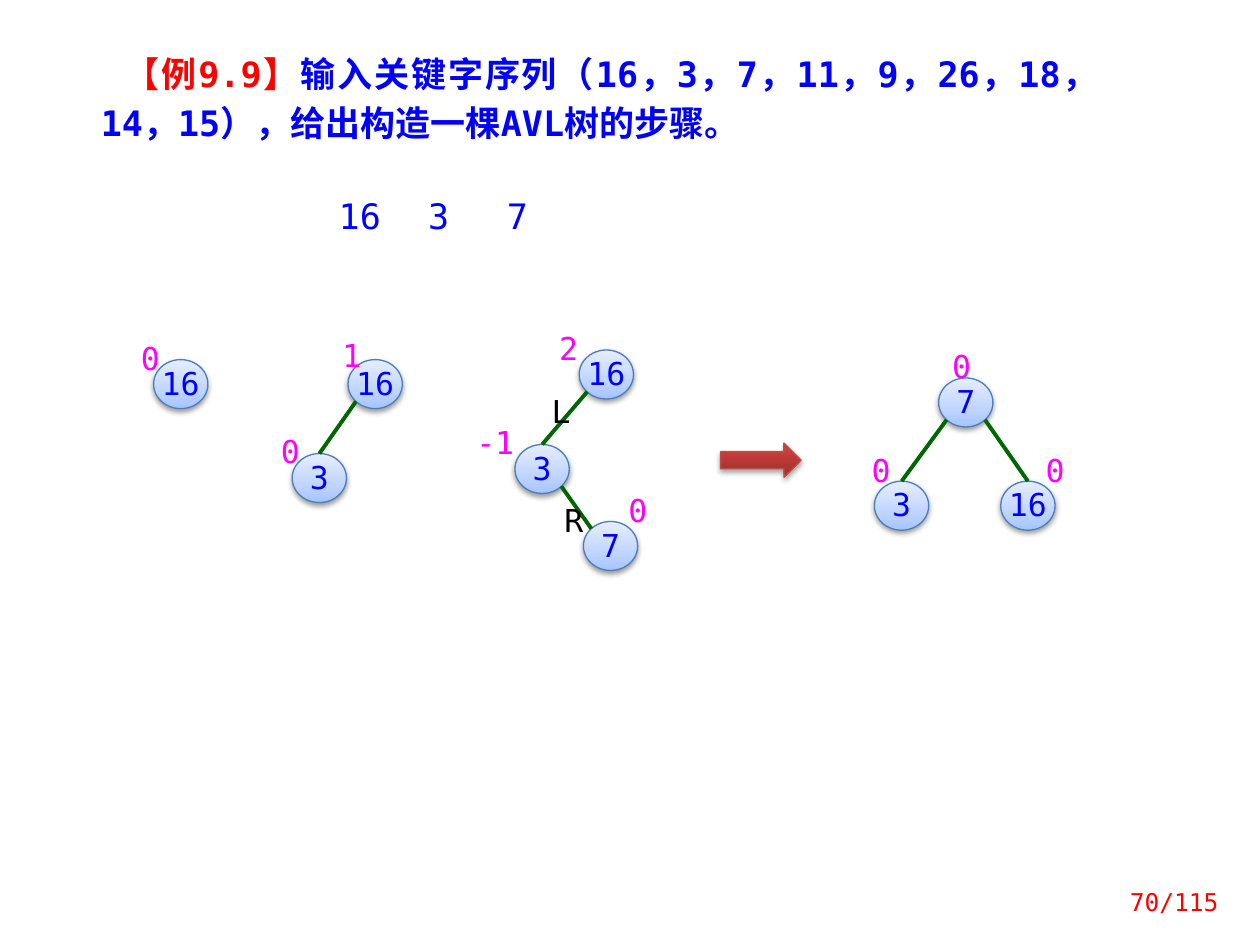
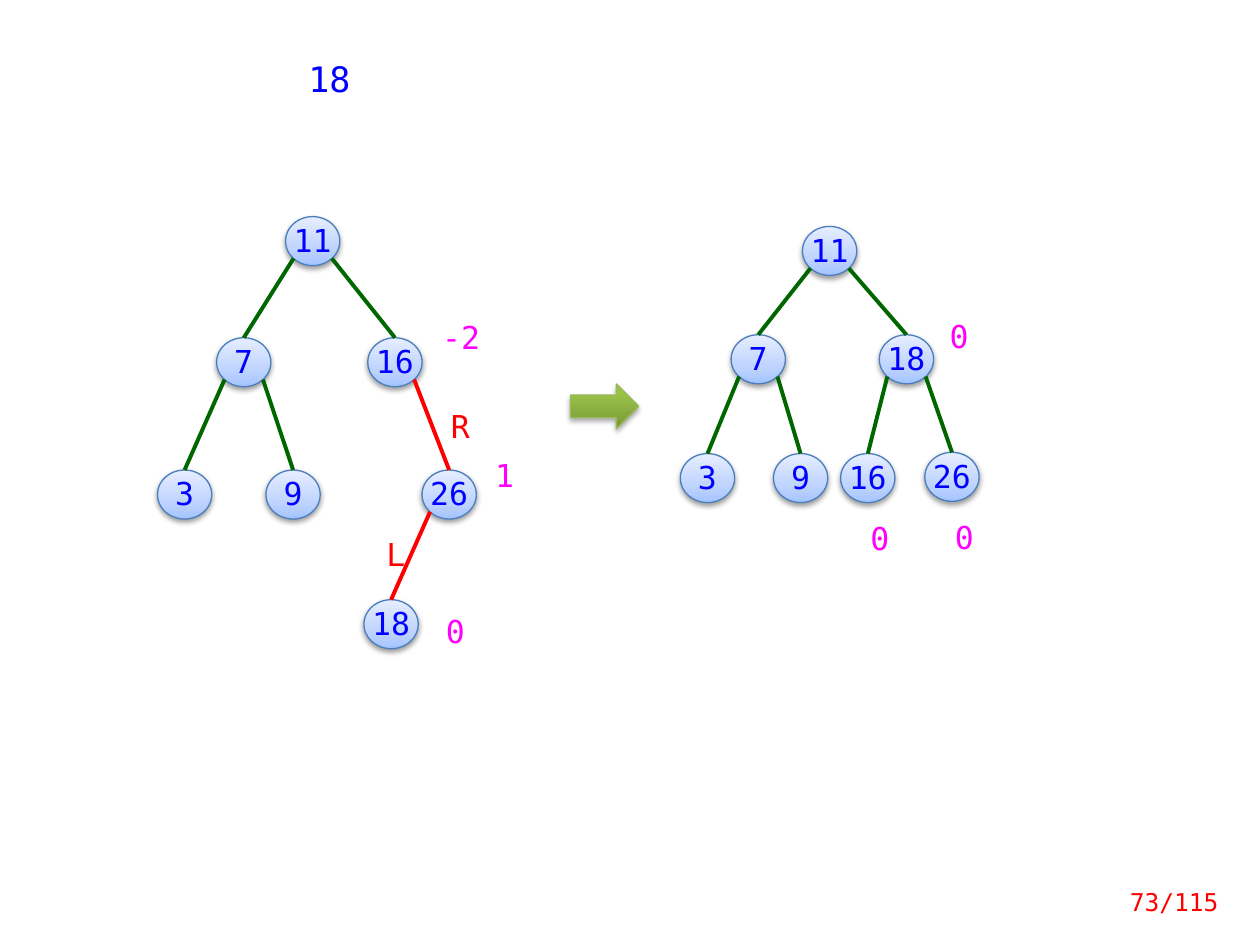
from dataclasses import dataclass
from math import cos, radians, sin

from lxml import etree
from pptx import Presentation
from pptx.dml.color import RGBColor
from pptx.enum.shapes import MSO_CONNECTOR, MSO_SHAPE
from pptx.enum.text import MSO_ANCHOR, MSO_AUTO_SIZE, PP_ALIGN
from pptx.oxml.ns import qn
from pptx.util import Pt

CENTER, RIGHT, JUSTIFY = PP_ALIGN.CENTER, PP_ALIGN.RIGHT, PP_ALIGN.JUSTIFY
TOP, MIDDLE = MSO_ANCHOR.TOP, MSO_ANCHOR.MIDDLE
FIXED_SIZE = MSO_AUTO_SIZE.NONE
OVAL, RIGHT_ARROW = MSO_SHAPE.OVAL, MSO_SHAPE.RIGHT_ARROW
STRAIGHT = MSO_CONNECTOR.STRAIGHT
TITLE_ONLY, BLANK = 5, 6


@dataclass(frozen=True)
class Theme:
    font: str = "DejaVu Sans Mono"
    blue: str = "0000FF"
    red: str = "FF0000"
    magenta: str = "FF00FF"
    black: str = "000000"
    green: str = "006600"
    node_line: str = "4B7EBC"
    node_fill: tuple = ((0, "A4C4FF"), (35, "BFD4FF"), (100, "E6EEFF"))
    red_line: str = "BF4C48"
    red_fill: tuple = ((0, "9C2F2D"), (80, "CB3E3A"), (100, "CE3B37"))
    green_line: str = "98B955"
    green_fill: tuple = ((0, "779737"), (80, "9BC348"), (100, "9DC746"))
    title_size: int = 20
    node_size: int = 18
    footer_size: int = 14
    node_width: int = 31
    node_height: int = 28
    edge_width: float = 2.25
    outline_width: float = 0.75


THEME = Theme()
CORNERS = {"top": 270, "top left": 225, "bottom left": 135, "bottom right": 45}


def write(box, spans, *, size, align=CENTER, anchor=TOP, spacing=None,
          indent=0, bold=False, wrap=True):
    frame = box.text_frame
    frame.word_wrap = wrap
    frame.auto_size = FIXED_SIZE
    frame.vertical_anchor = anchor
    para = frame.paragraphs[0]
    para.alignment = align
    para.space_before = Pt(0)
    if spacing:
        para.line_spacing = spacing
    if indent:
        para._p.get_or_add_pPr().set("indent", str(Pt(indent)))
    for text, color in spans:
        span = para.add_run()
        span.text = text
        span.font.name = THEME.font
        span.font.size = Pt(size)
        span.font.bold = bold
        span.font.color.rgb = RGBColor.from_string(color)
        east_asian = etree.SubElement(span._r.get_or_add_rPr(), qn("a:ea"))
        east_asian.set("typeface", THEME.font)


def add_color(parent, color):
    node = etree.SubElement(parent, qn("a:srgbClr"))
    node.set("val", color)
    return node


class Painter:
    def __init__(self, deck, theme):
        self.deck = deck
        self.theme = theme
        self.page = None

    def new_page(self, layout, footer):
        self.page = self.deck.slides.add_slide(self.deck.slide_layouts[layout])
        box = self.text_box(621.5, 500.5, 82, 29)
        write(box, [(footer, self.theme.red)], size=self.theme.footer_size,
              align=RIGHT, anchor=MIDDLE)

    def text_box(self, left, top, width, height):
        return self.page.shapes.add_textbox(
            Pt(left), Pt(top), Pt(width), Pt(height))

    def title(self, spans):
        box = self.page.shapes.title
        box.left, box.top, box.width, box.height = map(Pt, (50.4, 22.3, 584, 64))
        write(box, spans, size=self.theme.title_size, align=JUSTIFY,
              spacing=Pt(28), indent=13.5, bold=True)

    def key(self, text, left, top):
        box = self.text_box(left, top, 39.6, 26.6)
        write(box, [(text, self.theme.blue)], size=self.theme.title_size,
              spacing=0.8)

    def label(self, text, left, top, width=19, color=THEME.magenta):
        box = self.text_box(left, top, width, 27.4)
        write(box, [(text, color)], size=self.theme.node_size, spacing=Pt(20))

    def glossy(self, kind, left, top, width, height, stops, line, shadow):
        shape = self.page.shapes.add_shape(
            kind, Pt(left), Pt(top), Pt(width), Pt(height))
        shape.fill.gradient()
        properties = shape.element.spPr
        gradient = properties.find(qn("a:gradFill"))
        stop_list = gradient.find(qn("a:gsLst"))
        for stop in list(stop_list):
            stop_list.remove(stop)
        for position, color in stops:
            stop = etree.SubElement(stop_list, qn("a:gs"))
            stop.set("pos", str(position * 1000))
            add_color(stop, color)
        direction = gradient.find(qn("a:lin"))
        direction.set("ang", str(270 * 60000))
        direction.set("scaled", "0")
        shape.line.color.rgb = RGBColor.from_string(line)
        shape.line.width = Pt(self.theme.outline_width)
        shape.shadow.inherit = False
        opacity, distance = shadow
        cast = etree.SubElement(
            properties.find(qn("a:effectLst")), qn("a:outerShdw"),
            blurRad=str(Pt(3.1)), dist=str(Pt(distance)),
            dir=str(90 * 60000), rotWithShape="0")
        alpha = etree.SubElement(add_color(cast, self.theme.black), qn("a:alpha"))
        alpha.set("val", str(opacity * 1000))
        return shape

    def node(self, text, left, top):
        shape = self.glossy(
            OVAL, left, top, self.theme.node_width, self.theme.node_height,
            self.theme.node_fill, self.theme.node_line, (38, 1.6))
        write(shape, [(text, self.theme.blue)], size=self.theme.node_size,
              anchor=MIDDLE, spacing=Pt(20), wrap=False)

    def arrow(self, left, top, width, height, stops, line):
        self.glossy(RIGHT_ARROW, left, top, width, height, stops, line, (35, 1.8))

    def rim(self, position, corner):
        left, top = position
        angle = radians(CORNERS[corner])
        return (Pt(left + self.theme.node_width / 2 * (1 + cos(angle))),
                Pt(top + self.theme.node_height / 2 * (1 + sin(angle))))

    def edge(self, parent, child, color, end="top"):
        side = "bottom left" if child[0] < parent[0] else "bottom right"
        line = self.page.shapes.add_connector(
            STRAIGHT, *self.rim(parent, side), *self.rim(child, end))
        line.line.color.rgb = RGBColor.from_string(color)
        line.line.width = Pt(self.theme.edge_width)
        etree.SubElement(line.element.spPr, qn("a:effectLst"))

    def tree(self, nodes, edges=(), unbalanced=(), ends=None):
        for text, position in nodes.items():
            self.node(text, *position)
        for pair in edges:
            parent, child = pair
            color = self.theme.red if pair in unbalanced else self.theme.green
            self.edge(nodes[parent], nodes[child], color,
                      (ends or {}).get(pair, "top"))


def first_keys_page(painter):
    theme = painter.theme
    painter.new_page(TITLE_ONLY, "70/115")
    painter.title([
        ("【例9.9】", theme.red),
        ("输入关键字序列（16，3，7，11，9，26，18，14，15），"
         "给出构造一棵AVL树的步骤。", theme.blue)])
    for index, text in enumerate(("16", "3", "7")):
        painter.key(text, 185.8 + 45 * index, 112.3)

    painter.tree({"16": (87.8, 205.5)})
    painter.tree({"16": (198.9, 205.5), "3": (167, 259.2)}, [("16", "3")])
    painter.tree(
        {"16": (331, 200), "3": (294.3, 254), "7": (333.4, 298)},
        [("16", "3"), ("3", "7")], ends={("3", "7"): "top left"})
    painter.tree(
        {"7": (536.4, 216), "3": (499.7, 275), "16": (571.9, 275)},
        [("7", "3"), ("7", "16")])

    for text, left, top in (
            ("0", 73.4, 191.5), ("1", 188.6, 190), ("0", 153.4, 244.8),
            ("2", 312.5, 185.8), ("0", 352, 278.6),
            ("0", 537, 196.6), ("0", 590.4, 255.6)):
        painter.label(text, left, top)
    painter.label("-1", 262, 239.8, width=42)
    painter.label("0", 491, 255.6, width=23)
    painter.label("L", 308.2, 221.8, color=theme.black)
    painter.label("R", 315.4, 284.4, color=theme.black)
    painter.arrow(411.8, 253.2, 46, 19.6, theme.red_fill, theme.red_line)


def insert_18_page(painter):
    theme = painter.theme
    painter.new_page(BLANK, "73/115")
    painter.key("18", 168.5, 33.8)
    shared = [("11", "7"), ("7", "3"), ("7", "9")]
    rotated = [("16", "26"), ("26", "18")]
    painter.tree(
        {"11": (163.2, 123.8), "7": (123.8, 193), "16": (210.2, 193),
         "3": (90, 268.6), "9": (152, 268.6), "26": (241.2, 268.6),
         "18": (208, 342.7)},
        [*shared, ("11", "16"), *rotated], unbalanced=rotated)
    painter.tree(
        {"11": (458.6, 129.4), "7": (417.8, 191.3), "18": (502.5, 191.3),
         "3": (388.8, 259.2), "9": (442, 259.2), "16": (480.4, 259.2),
         "26": (528.5, 258.5)},
        [*shared, ("11", "18"), ("18", "16"), ("18", "26")])

    for text, left, top in (
            ("1", 275.8, 258.5), ("0", 247.7, 347.8),
            ("0", 490.3, 294.5), ("0", 538.6, 293.8)):
        painter.label(text, left, top)
    painter.label("-2", 242, 180, width=43)
    painter.label("0", 533.5, 179.3, width=29)
    painter.label("R", 250.6, 230.4, color=theme.red)
    painter.label("L", 213.8, 303.8, color=theme.red)
    painter.arrow(326, 219.4, 39, 25.6, theme.green_fill, theme.green_line)


def main():
    deck = Presentation()
    deck.slide_width, deck.slide_height = Pt(720), Pt(540)
    painter = Painter(deck, THEME)
    first_keys_page(painter)
    insert_18_page(painter)
    deck.save("out.pptx")


if __name__ == "__main__":
    main()
